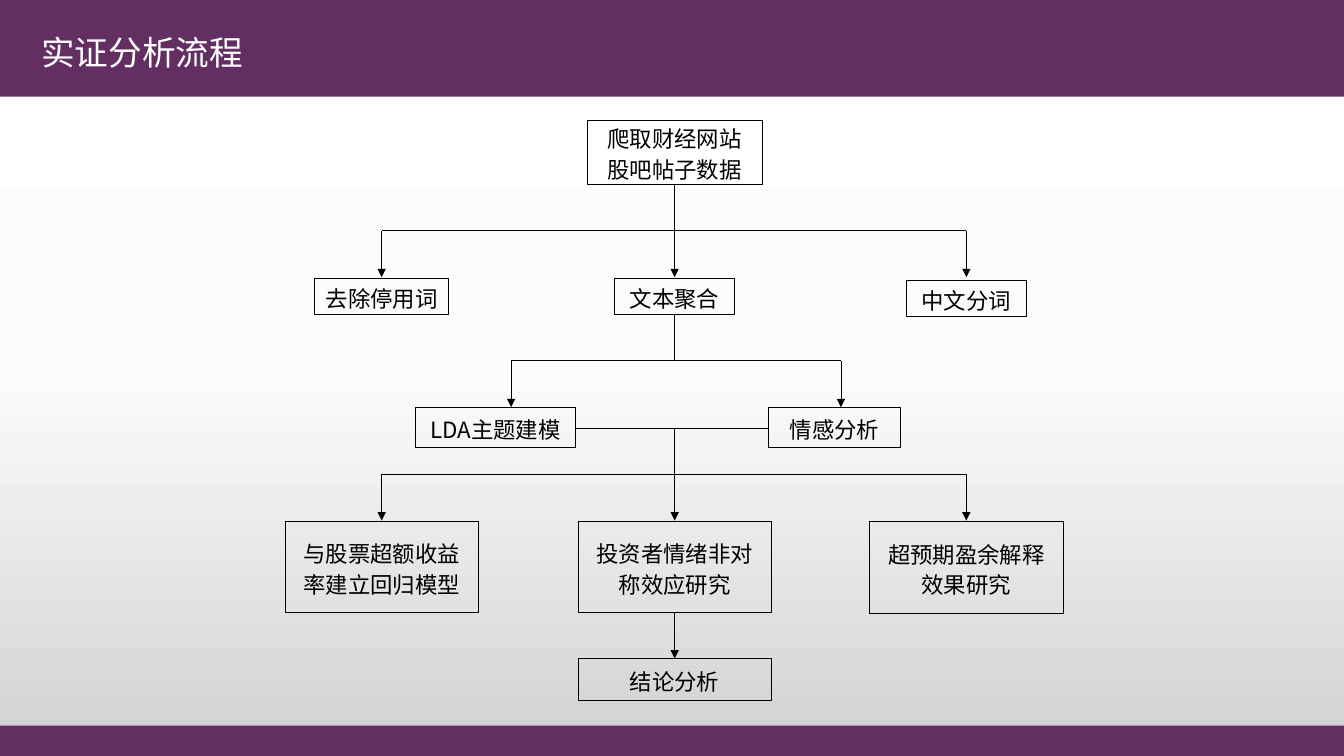
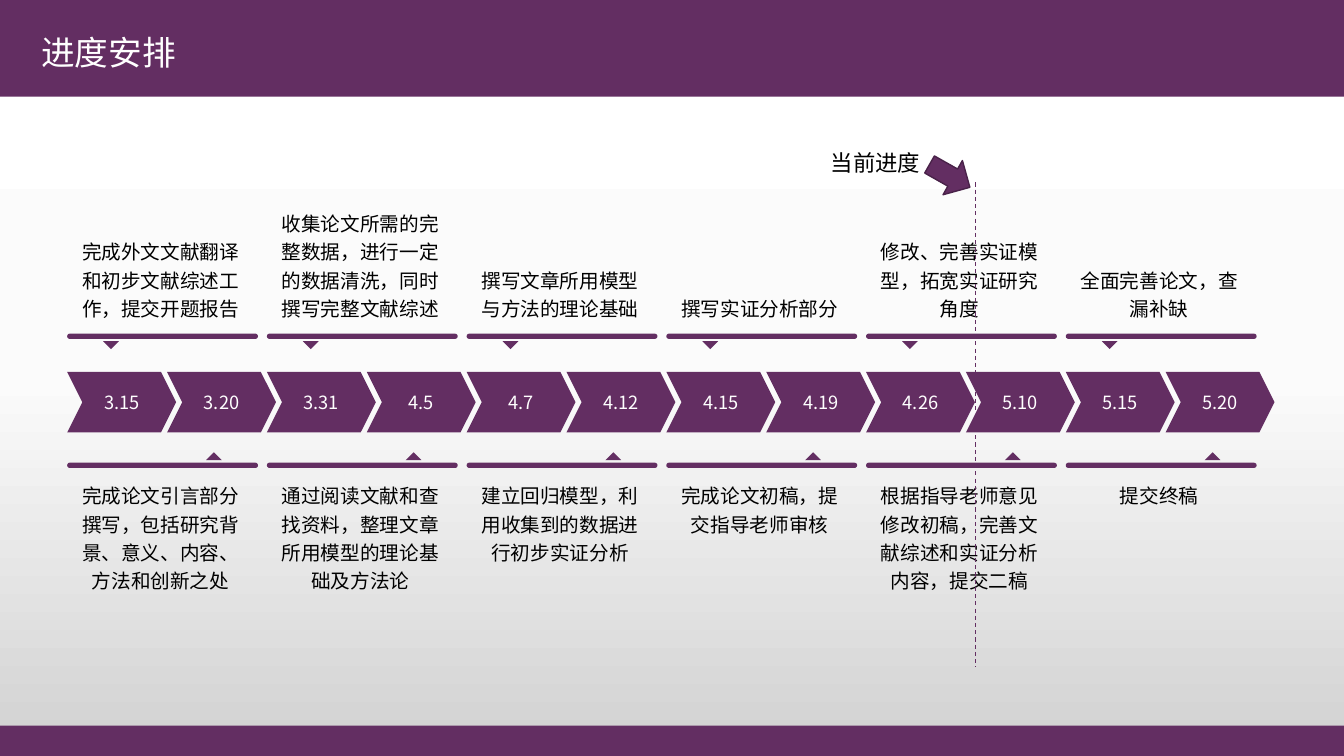
"""Build the thesis slides: the analysis flow chart and the work schedule."""
from copy import deepcopy

from lxml.etree import SubElement
from pptx import Presentation
from pptx.dml.color import RGBColor
from pptx.enum.dml import MSO_LINE_DASH_STYLE as DASH
from pptx.enum.lang import MSO_LANGUAGE_ID as LANGUAGE
from pptx.enum.shapes import MSO_CONNECTOR as CONNECTOR, MSO_SHAPE as SHAPE
from pptx.enum.text import MSO_ANCHOR as ANCHOR, PP_ALIGN as ALIGN
from pptx.oxml.ns import qn
from pptx.util import Inches, Pt

COLOURS = {"purple": "632E62", "edge": "492249", "ink": "000000", "white": "FFFFFF",
           "mist": "FBFBFB", "grey": "D1D1D1"}
RGB = {name: RGBColor.from_string(value) for name, value in COLOURS.items()}
SANS, SERIF, HEADING = "Noto Sans CJK SC", "Times New Roman", "Montserrat"

deck = Presentation()
deck.slide_width, deck.slide_height = Inches(13.33), Inches(7.5)
COL, ROW = deck.slide_width / 100, deck.slide_height / 100


def write(box, text, size, font, colour="ink", spacing=1.0, align=ALIGN.CENTER,
          anchor=ANCHOR.MIDDLE, inset=(0.1, 0.05)):
    """Put one formatted paragraph into a shape."""
    frame = box.text_frame
    frame.text = text
    frame.word_wrap = True
    frame.vertical_anchor = anchor
    frame.margin_left = frame.margin_right = Inches(inset[0])
    frame.margin_top = frame.margin_bottom = Inches(inset[1])
    para = frame.paragraphs[0]
    para.alignment, para.line_spacing = align, spacing
    for span in para.runs:
        span.font.size, span.font.name = Pt(size), font
        span.font.color.rgb = RGB[colour]
        span.font.language_id = LANGUAGE.SIMPLIFIED_CHINESE
        SubElement(span.font._element, qn("a:ea"), typeface=SANS)


def place(page, kind, left, top, width, height, fill=None, line=None, weight=0.5, turn=0):
    """Add a preset shape, or a text box if kind is None, in slide percentages."""
    area = [round(value) for value in (left * COL, top * ROW, width * COL, height * ROW)]
    if kind is None:
        return page.shapes.add_textbox(*area)
    shape = page.shapes.add_shape(kind, *area)
    shape.shadow.inherit = False
    shape.rotation = turn
    if fill:
        shape.fill.solid()
        shape.fill.fore_color.rgb = RGB[fill]
    else:
        shape.fill.background()
    if line:
        shape.line.color.rgb, shape.line.width = RGB[line], Pt(weight)
    else:
        shape.line.fill.background()
    return shape


master, layout = deck.slide_master, deck.slide_layouts[5]
backdrop = master.background.fill
backdrop.gradient()
backdrop.gradient_angle = 270
stop_list = master.element.xpath(".//p:bg//a:gsLst")[0]
stop_list.append(deepcopy(stop_list[0]))
for stop, position, colour in zip(backdrop.gradient_stops, (0, 0.5, 1), ("white", "mist", "grey")):
    stop.position, stop.color.rgb = position, RGB[colour]

heading = layout.placeholders[0]
heading.left, heading.top = round(2.33 * COL), round(2.8 * ROW)
heading.width, heading.height = round(86.27 * COL), round(8.8 * ROW)

flow, schedule = [deck.slides.add_slide(layout) for _ in range(2)]
for page, title in ((flow, "实证分析流程"), (schedule, "进度安排")):
    write(page.shapes.title, title, 24, HEADING, "white", 0.9, ALIGN.LEFT)
for index, (top, height) in enumerate(((0, 12.8), (96, 4))):
    band = place(flow, SHAPE.RECTANGLE, 0, top, 100, height, "purple")
    master.shapes.element.insert(2 + index, band.element)

LEFT, MIDDLE, RIGHT = 28.4, 50.2, 71.9
STEPS = [
    (MIDDLE, 15.87, 13.05, 8.53, "爬取财经网站股吧帖子数据"),
    (LEFT, 36.8, 9.95, 4.8, "去除停用词"),
    (MIDDLE, 36.8, 8.95, 4.8, "文本聚合"),
    (RIGHT, 37.1, 8.95, 4.8, "中文分词"),
    (36.87, 53.9, 11.95, 5.33, "LDA主题建模"),
    (62.08, 53.9, 9.85, 5.33, "情感分析"),
    (LEFT, 68.9, 14.4, 12.13, "与股票超额收益率建立回归模型"),
    (MIDDLE, 68.9, 14.4, 12.13, "投资者情绪非对称效应研究"),
    (RIGHT, 69, 14.4, 12.13, "超预期盈余解释效果研究"),
    (MIDDLE, 87.1, 14.4, 5.6, "结论分析"),
]
for centre, top, width, height, text in STEPS:
    box = place(flow, SHAPE.RECTANGLE, centre - width / 2, top, width, height, line="ink")
    write(box, text, 16, SANS, spacing=1.15)

GAP = 6.13
BRANCHES = [(24.4, (LEFT, MIDDLE, RIGHT)), (41.6, (38.03, 62.57)), (56.6, (LEFT, MIDDLE, RIGHT))]
links = [(42.84, 56.6, 57.16, 56.6, False), (MIDDLE, 81.03, MIDDLE, 87.1, True)]
for start, targets in BRANCHES:
    bus = start + GAP
    links.append((MIDDLE, start, MIDDLE, bus, False))
    links.append((targets[0], bus, targets[-1], bus, False))
    links += [(target, bus, target, bus + GAP, True) for target in targets]

START, PITCH = 5, 7.43
INSET = (0.13, 0.07)
DATES = ["3.15", "3.20", "3.31", "4.5", "4.7", "4.12", "4.15", "4.19", "4.26", "5.10", "5.15", "5.20"]
for index, date in enumerate(DATES):
    chevron = place(schedule, SHAPE.CHEVRON, START + index * PITCH, 49.2, 8.1, 8, "purple")
    chevron.adjustments[0] = 0.25
    write(chevron, date, 13, SANS, "white", inset=INSET)

TASKS_ABOVE = ["完成外文文献翻译和初步文献综述工作，提交开题报告",
               "收集论文所需的完整数据，进行一定的数据清洗，同时撰写完整文献综述",
               "撰写文章所用模型与方法的理论基础",
               "撰写实证分析部分",
               "修改、完善实证模型，拓宽实证研究角度",
               "全面完善论文，查漏补缺"]
TASKS_BELOW = ["完成论文引言部分撰写，包括研究背景、意义、内容、方法和创新之处",
               "通过阅读文献和查找资料，整理文章所用模型的理论基础及方法论",
               "建立回归模型，利用收集到的数据进行初步实证分析",
               "完成论文初稿，提交指导老师审核",
               "根据指导老师意见修改初稿，完善文献综述和实证分析内容，提交二稿",
               "提交终稿"]
SIDES = [(TASKS_ABOVE, 44.13, 2.85, 44.4, 315, 26.8, ANCHOR.BOTTOM),
         (TASKS_BELOW, 61.2, 10.5, 60.13, 135, 62.5, ANCHOR.TOP)]
for tasks, bar_top, shift, pointer_top, turn, text_top, anchor in SIDES:
    for index, task in enumerate(tasks):
        left = START + 2 * index * PITCH
        bar = place(schedule, SHAPE.ROUNDED_RECTANGLE, left, bar_top, 14.2, 0.7, "purple")
        bar.adjustments[0] = 0.5
        place(schedule, SHAPE.RIGHT_TRIANGLE, left + shift, pointer_top, 0.83, 1.47, "purple", turn=turn)
        box = place(schedule, None, left - 0.5, text_top, 14.9, 16.5)
        write(box, task, 14, SERIF, spacing=1.2, anchor=anchor, inset=INSET)

label = place(schedule, None, 57.7, 18.13, 14.9, 5.73)
write(label, "当前进度", 16, SERIF, spacing=1.2, anchor=ANCHOR.TOP, inset=INSET)
place(schedule, SHAPE.RIGHT_ARROW, 68.94, 20.67, 3.45, 5.2, "purple", "edge", 1, 29.5)

LINES = [(flow, *link, "ink", 0.5, None) for link in links]
LINES.append((schedule, 72.6, 24.13, 72.6, 88.27, False, "purple", 0.75, DASH.DASH))
for page, x1, y1, x2, y2, arrow, colour, weight, dash in LINES:
    ends = [round(value) for value in (x1 * COL, y1 * ROW, x2 * COL, y2 * ROW)]
    link = page.shapes.add_connector(CONNECTOR.STRAIGHT, *ends)
    link.line.color.rgb, link.line.width = RGB[colour], Pt(weight)
    if dash:
        link.line.dash_style = dash
    if arrow:
        SubElement(link.line._get_or_add_ln(), qn("a:tailEnd"), type="triangle")
    SubElement(link.element.spPr, qn("a:effectLst"))

deck.save("out.pptx")
